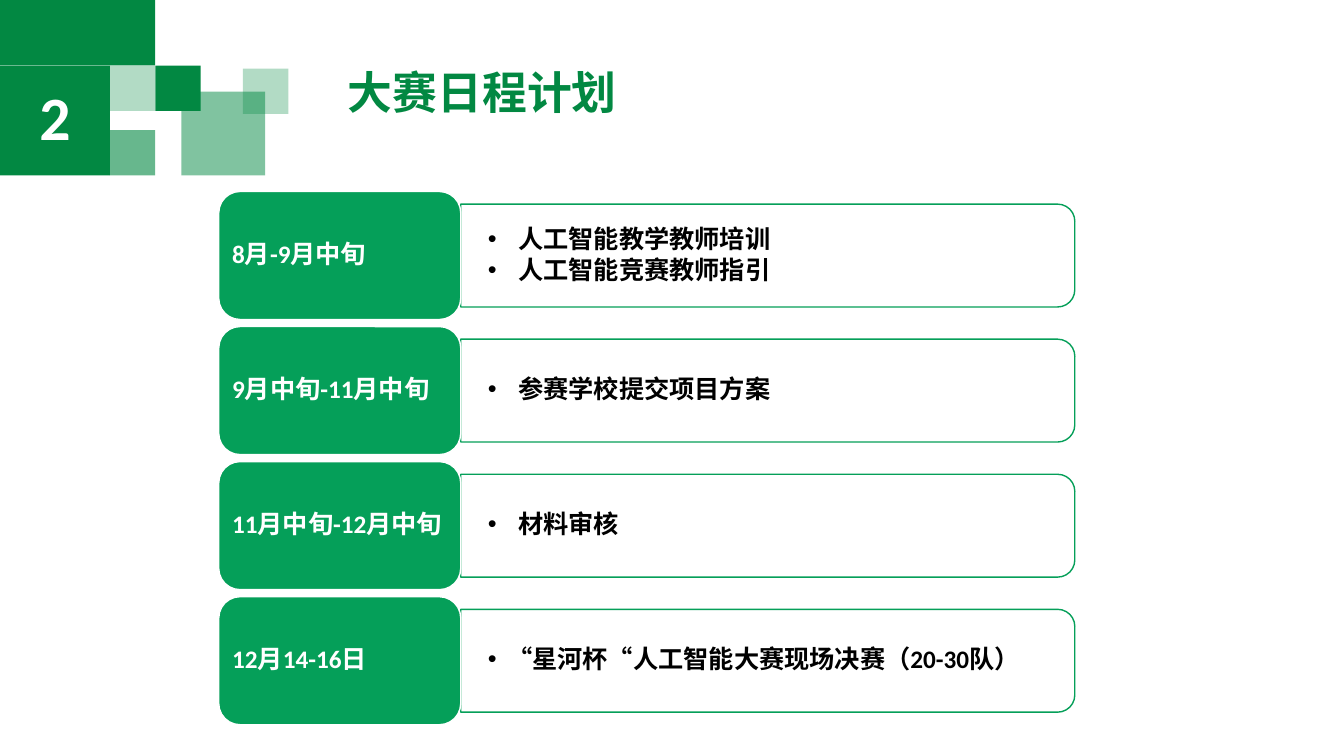
"""Build the contest schedule slide: a titled list of four dated stages."""
from lxml.etree import SubElement
from pptx import Presentation
from pptx.dml.color import RGBColor as Rgb
from pptx.enum.lang import MSO_LANGUAGE_ID as Lang
from pptx.enum.shapes import MSO_SHAPE as Kind
from pptx.enum.text import MSO_ANCHOR as Anchor, MSO_AUTO_SIZE as Fit, PP_ALIGN as Align
from pptx.oxml.ns import qn
from pptx.util import Inches as In, Pt

INK = {"dark": "028842", "green": "059F59", "white": "FFFFFF", "black": "000000"}
TOP, STEP, HIGH = 1.9, 1.34, 1.27
LEFT, SPLIT, WIDE, THIN = 2.17, 4.57, 6.09, 1.02
UNIT, EDGE, BAND = 0.45, 1.09, 0.65

deck = Presentation()
deck.slide_width, deck.slide_height = In(13.33), In(7.5)
slide = deck.slides.add_slide(deck.slide_layouts[5])


def block(kind, box, fill, line=None, alpha=100):
    """Add a filled shape and return it."""
    shape = slide.shapes.add_shape(kind, *map(In, box))
    shape.shadow.inherit = False
    shape.fill.solid()
    shape.fill.fore_color.rgb = Rgb.from_string(INK[fill])
    if alpha < 100:
        tint = shape.fill._xPr.find(".//" + qn("a:srgbClr"))
        SubElement(tint, qn("a:alpha")).set("val", str(alpha * 1000))
    if line:
        shape.line.color.rgb = Rgb.from_string(INK[line])
        shape.line.width = Pt(1)
    else:
        shape.line.fill.background()
    return shape


def write(shape, text, size, ink, pad, align=Align.LEFT, anchor=Anchor.MIDDLE, hang=0):
    """Set the text of a shape, with bullets where a hanging indent is given."""
    frame = shape.text_frame
    frame.text = text
    frame.word_wrap, frame.auto_size = True, Fit.NONE
    frame.vertical_anchor = anchor
    frame.margin_left = frame.margin_right = In(pad[0])
    frame.margin_top = frame.margin_bottom = In(pad[1])
    for para in frame.paragraphs:
        para.alignment, para.line_spacing = align, 0.9
        if hang:
            props = para._p.get_or_add_pPr()
            props.set("marL", str(In(hang)))
            props.set("indent", str(-In(hang)))
            para.space_after = Pt(2.7)
            SubElement(props, qn("a:buFont")).set("typeface", "Arial")
            SubElement(props, qn("a:buChar")).set("char", "•")
        for run in para.runs:
            font = run.font
            font.name, font.size, font.bold = "Calibri", Pt(size), True
            font.color.rgb = Rgb.from_string(INK[ink])
            font.language_id = Lang.SIMPLIFIED_CHINESE


tiles = [
    (0, 0, EDGE + UNIT, BAND, 100),
    (EDGE, BAND, UNIT, UNIT, 30),
    (EDGE + UNIT, BAND, UNIT, UNIT, 100),
    (EDGE, 1.29, UNIT, UNIT, 60),
    (1.8, 0.91, 0.83, 0.83, 50),
    (2.41, 0.68, UNIT, UNIT, 30),
]
for *box, alpha in tiles:
    block(Kind.RECTANGLE, box, "dark", alpha=alpha)

title = slide.shapes.title
title.left, title.top, title.width, title.height = map(In, (3.35, BAND, 8.46, 0.6))
write(title, "大赛日程计划", 32, "dark", (0.1, 0.05), anchor=Anchor.TOP)

badge = block(Kind.RECTANGLE, (0, BAND, EDGE, EDGE), "dark")
write(badge, "2", 44, "white", (0.1, 0.05), Align.CENTER)

stages = [
    ("8月-9月中旬", "人工智能教学教师培训\n人工智能竞赛教师指引", Align.LEFT, 0.3),
    ("9月中旬-11月中旬", "参赛学校提交项目方案", Align.JUSTIFY, 0.3),
    ("11月中旬-12月中旬", "材料审核", Align.LEFT, 0.3),
    ("12月14-16日", "“星河杯“人工智能大赛现场决赛（20-30队）", Align.LEFT, 0.19),
]
for row, (date, tasks, align, hang) in enumerate(stages):
    top = TOP + row * STEP
    mid = top + HIGH / 2
    turned = (SPLIT + (WIDE - THIN) / 2, mid - WIDE / 2, THIN, WIDE)
    panel = block(Kind.ROUND_2_SAME_RECTANGLE, turned, "white", "green")
    panel.rotation = 90
    note = slide.shapes.add_textbox(*map(In, (SPLIT, mid - 0.46, 6.04, 0.92)))
    write(note, tasks, 18, "black", (0.27, 0.14), hang=hang)
    tag = block(Kind.ROUNDED_RECTANGLE, (LEFT, top, SPLIT - LEFT, HIGH), "green", "white")
    write(tag, date, 18, "white", (0.07, 0.04), align)

deck.save("out.pptx")
